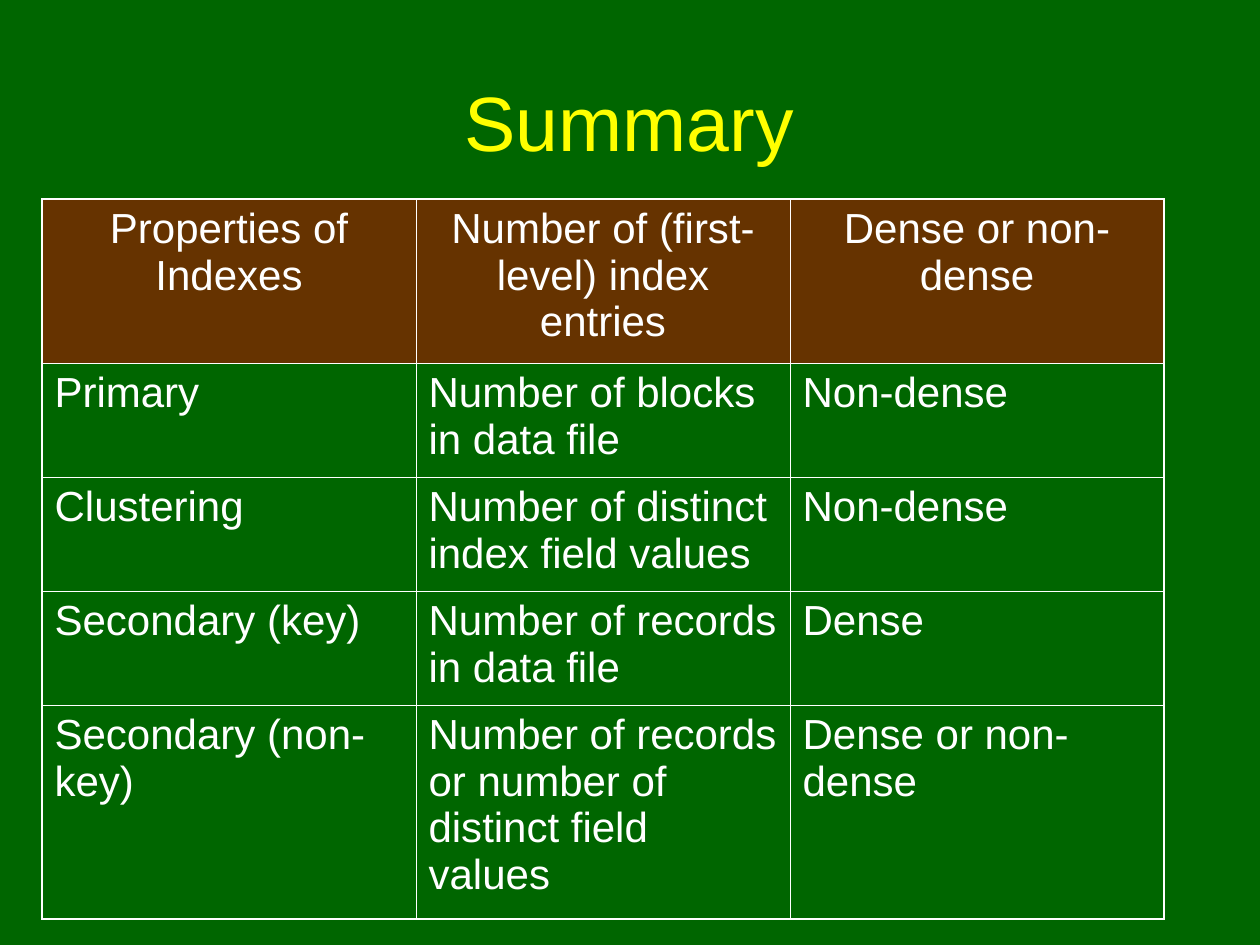
"""Build the summary slide comparing the properties of index types."""
from lxml import etree
from pptx import Presentation
from pptx import util as u
from pptx.dml.color import RGBColor
from pptx.enum import text
from pptx.oxml import ns

TITLE = "Summary"
INDEXES = [
    ("Properties of Indexes", "Number of (first-level) index entries", "Dense or non-dense"),
    ("Primary", "Number of blocks in data file", "Non-dense"),
    ("Clustering", "Number of distinct index field values", "Non-dense"),
    ("Secondary (key)", "Number of records in data file", "Dense"),
    ("Secondary (non-key)", "Number of records or number of distinct field values",
     "Dense or non-dense"),
]
ROW_HEIGHTS = [164, 114, 114, 114, 214]
COLUMN_WIDTH = 374
GREEN, BROWN, YELLOW, WHITE = "006600", "663300", "FFFF00", "FFFFFF"
OUTER, INNER = 1.08, 0.45


def px(length):
    return u.Emu(round(length * 914400 / 126))


def color(value):
    return RGBColor.from_string(value)


def format_text(paragraph, size, ink, align):
    paragraph.alignment = align
    for run in paragraph.runs:
        run.font.name = "Arial"
        run.font.size = u.Pt(size)
        run.font.bold = False
        run.font.color.rgb = color(ink)


def add_borders(cell, widths):
    properties = cell._tc.get_or_add_tcPr()
    for position, (side, width) in enumerate(widths.items()):
        line = etree.Element(ns.qn(f"a:ln{side}"), w=str(int(u.Pt(width))))
        fill = etree.SubElement(line, ns.qn("a:solidFill"))
        etree.SubElement(fill, ns.qn("a:srgbClr"), val=WHITE)
        properties.insert(position, line)


def add_title(slide):
    title = slide.shapes.title
    title.left, title.top, title.width, title.height = map(px, (94, 42, 1071, 157))
    frame = title.text_frame
    frame.text = TITLE
    frame.word_wrap = True
    frame.auto_size = text.MSO_AUTO_SIZE.NONE
    frame.vertical_anchor = text.MSO_ANCHOR.MIDDLE
    format_text(frame.paragraphs[0], 44, YELLOW, text.PP_ALIGN.CENTER)


def add_index_table(slide):
    last_row, last_column = len(INDEXES) - 1, len(INDEXES[0]) - 1
    table = slide.shapes.add_table(
        last_row + 1, last_column + 1, px(42), px(199),
        px(COLUMN_WIDTH * (last_column + 1)), px(sum(ROW_HEIGHTS))).table
    table.first_row = table.horz_banding = False
    for column in table.columns:
        column.width = px(COLUMN_WIDTH)
    for r, (entries, height) in enumerate(zip(INDEXES, ROW_HEIGHTS)):
        table.rows[r].height = px(height)
        for c, entry in enumerate(entries):
            cell = table.cell(r, c)
            cell.text = entry
            if r == 0:
                cell.fill.solid()
                cell.fill.fore_color.rgb = color(BROWN)
            else:
                cell.fill.background()
            align = text.PP_ALIGN.LEFT if r else text.PP_ALIGN.CENTER
            format_text(cell.text_frame.paragraphs[0], 24, WHITE, align)
            add_borders(cell, {
                "L": INNER if c else OUTER,
                "R": OUTER if c == last_column else INNER,
                "T": INNER if r else OUTER,
                "B": OUTER if r == last_row else INNER,
            })


def main():
    deck = Presentation()
    deck.slide_width, deck.slide_height = px(1260), px(945)
    slide = deck.slides.add_slide(deck.slide_layouts[5])
    slide.background.fill.solid()
    slide.background.fill.fore_color.rgb = color(GREEN)
    add_title(slide)
    add_index_table(slide)
    deck.save("out.pptx")


if __name__ == "__main__":
    main()
